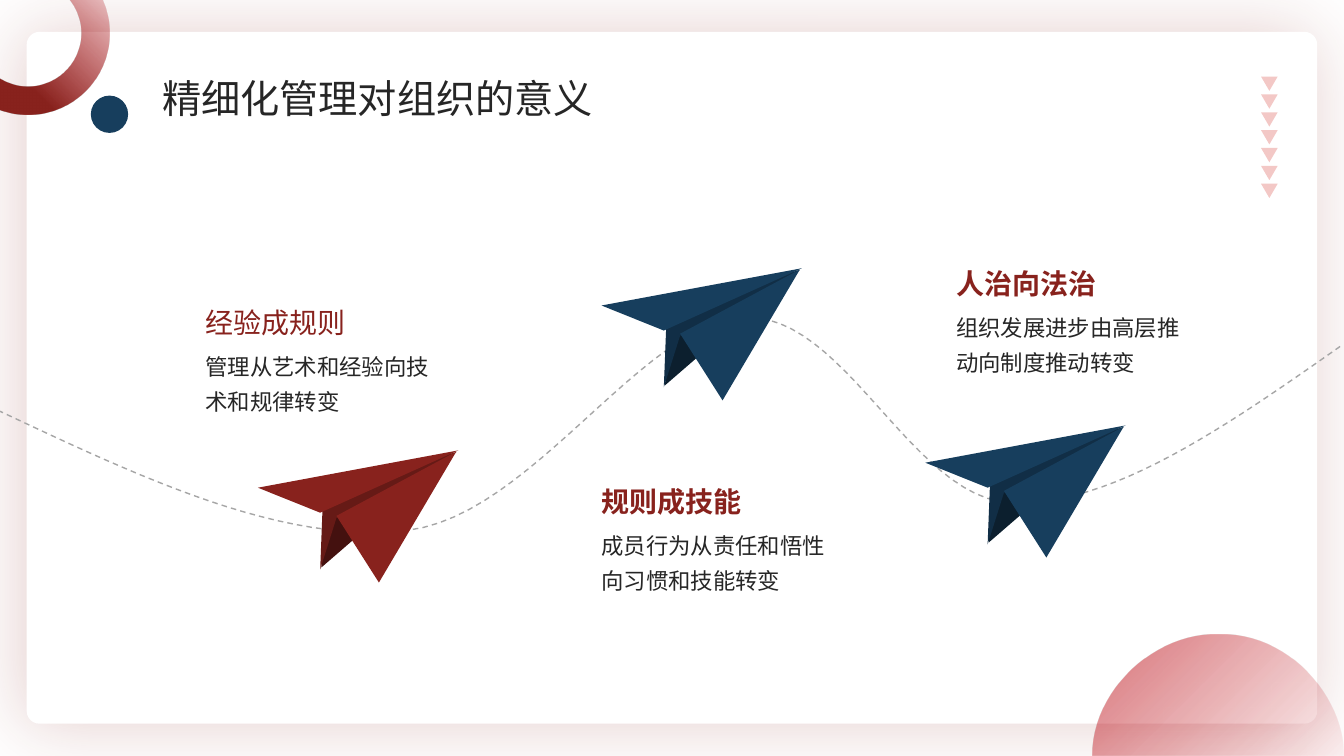
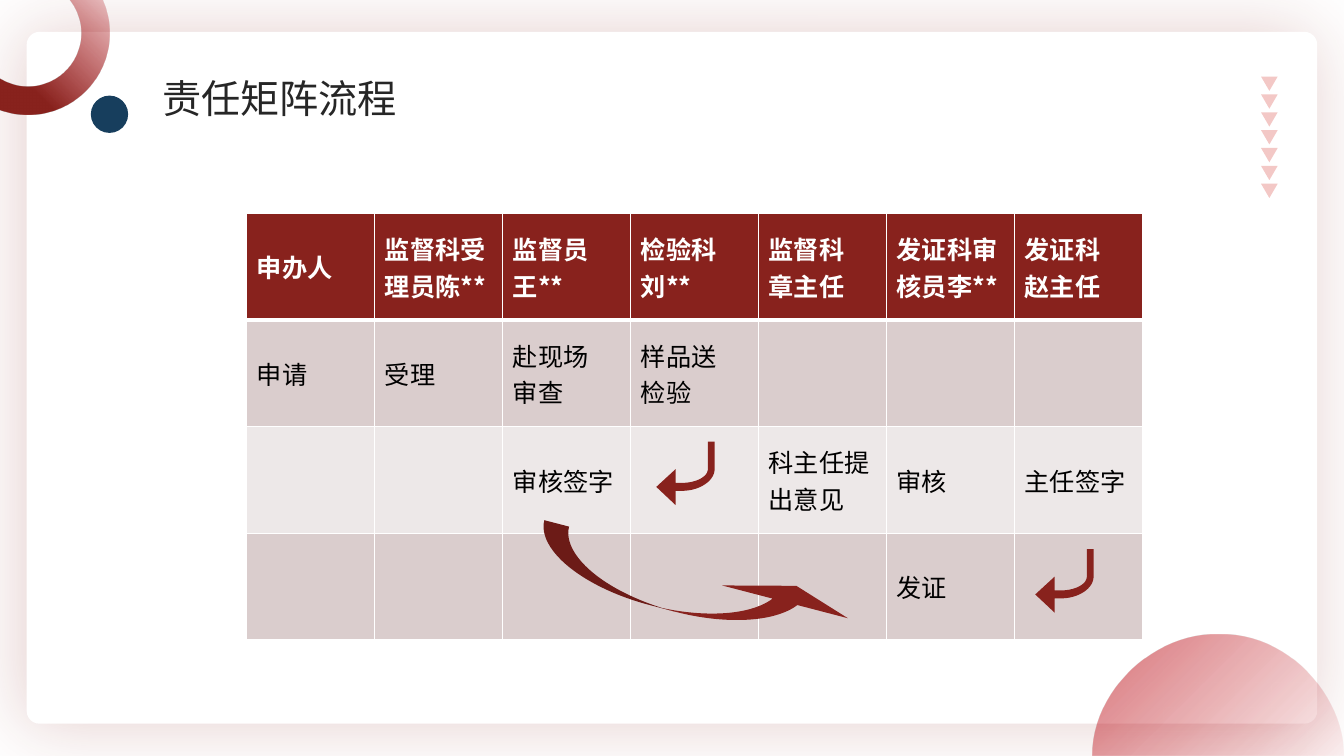
from lxml import etree
from pptx import Presentation
from pptx.dml.color import RGBColor
from pptx.enum.dml import MSO_LINE
from pptx.enum.shapes import MSO_SHAPE
from pptx.enum.text import MSO_ANCHOR
from pptx.oxml.ns import qn
from pptx.util import Cm, Pt

PANEL = MSO_SHAPE.ROUNDED_RECTANGLE
RING = MSO_SHAPE.DONUT
OVAL = MSO_SHAPE.OVAL
TRIANGLE = MSO_SHAPE.FLOWCHART_MERGE
CURVED_ARROW = MSO_SHAPE.CURVED_UP_ARROW
DASH = MSO_LINE.DASH
MIDDLE = MSO_ANCHOR.MIDDLE

FONT = "Noto Sans CJK SC"
RED, NAVY, CRIMSON = "88221D", "173E5D", "B9000B"
WHITE, BLACK, INK, GREY, PINK = "FFFFFF", "000000", "262626", "A6A6A6", "F3C8C6"
BANDS = ["DACDCD", "EDE8E8"]
RED_PLANE = ["44110F", "661A16", RED, RED]
NAVY_PLANE = ["0C1F2E", "112E46", NAVY, NAVY]

PLANE_PARTS = [
    [(1.7, 1.57), (1.6, 2.95), (4.95, 0.05)],
    [(1.63, 1.47), (1.57, 3), (1.98, 1.7), (5, 0.05), (3.86, 0.3)],
    [(0, 0.94), (1.57, 1.57), (5.05, 0)],
    [(1.98, 1.65), (5, 0.03), (3.05, 3.33)],
]
RETURN_ARROW = [
    (0, 1.14), (0.49, 1.6), (0.49, 1.24), (0.64, 1.24),
    (1.09, 1.24, 1.47, 0.99, 1.47, 0.69), (1.47, 0), (1.3, 0), (1.3, 0.69),
    (1.3, 0.89, 0.99, 1.04, 0.64, 1.04), (0.49, 1.04), (0.49, 0.69),
]
DOME = [
    (27.53, 19.05), (27.53, 17.35, 29.13, 15.93, 30.71, 15.98),
    (32.46, 15.93, 33.86, 17.53, 33.86, 19.05),
]
FLIGHT_PATH = [
    (-0.05, 10.34), (3.56, 12.04, 7.14, 13.74, 10.29, 13.36),
    (13.41, 12.98, 16.21, 8.1, 18.75, 8),
    (21.29, 7.87, 22.96, 12.55, 25.48, 12.67),
    (27.99, 12.78, 30.91, 10.74, 33.83, 8.69),
]


def rgb(color):
    return RGBColor.from_string(color)


def node(parent, tag, **attrs):
    return etree.SubElement(parent, qn(tag), {k: str(v) for k, v in attrs.items()})


def color_node(parent, color, alpha=100):
    clr = node(parent, "a:srgbClr", val=color)
    if alpha < 100:
        node(clr, "a:alpha", val=alpha * 1000)


def flatten(steps, pieces=24):
    points = [steps[0]]
    for step in steps[1:]:
        if len(step) == 2:
            points.append(step)
            continue
        x0, y0 = points[-1]
        x1, y1, x2, y2, x3, y3 = step
        for i in range(1, pieces + 1):
            t = i / pieces
            a, b, c, d = (1 - t) ** 3, 3 * t * (1 - t) ** 2, 3 * t * t * (1 - t), t ** 3
            points.append((a * x0 + b * x1 + c * x2 + d * x3,
                           a * y0 + b * y1 + c * y2 + d * y3))
    return points


class Deck:
    def __init__(self):
        self.prs = Presentation()
        self.prs.slide_width, self.prs.slide_height = Cm(33.87), Cm(19.05)

    def new_slide(self, title):
        self.slide = self.prs.slides.add_slide(self.prs.slide_layouts[6])
        self.shapes = self.slide.shapes
        self.decorate()
        self.text(3.84, 1.75, 15.8, 1.45, title, 28, INK)

    def decorate(self):
        sp = self.shape(PANEL, 0.7, 0.83, 32.47, 17.38, WHITE, [0.017])
        sp.line.color.rgb = rgb(WHITE)
        sp.line.width = Pt(1.5)
        effects = sp._element.spPr.find(qn("a:effectLst"))
        shadow = node(effects, "a:outerShdw", blurRad=Pt(54), dist=Pt(3),
                      dir=180 * 60000, algn="ctr", rotWithShape=0)
        color_node(shadow, RED, 22)
        ring = self.shape(RING, -1.35, -1.22, 4.1, 4.1, RED, [0.175])
        self.gradient(ring, 315, [(34, RED, 100), (100, CRIMSON, 0)])
        self.shape(OVAL, 2.29, 2.41, 0.94, 0.94, NAVY)
        self.gradient(self.outline(DOME, CRIMSON), 45,
                      [(2, CRIMSON, 54), (100, CRIMSON, 5)])
        for i in range(7):
            self.shape(TRIANGLE, 31.78, 1.93 + i * 0.45, 0.42, 0.36, PINK)

    def paint(self, sp, color):
        sp.shadow.inherit = False
        sp.line.fill.background()
        sp.fill.solid()
        sp.fill.fore_color.rgb = rgb(color)
        return sp

    def shape(self, kind, x, y, w, h, color, adjustments=()):
        sp = self.shapes.add_shape(kind, Cm(x), Cm(y), Cm(w), Cm(h))
        for i, value in enumerate(adjustments):
            sp.adjustments[i] = value
        return self.paint(sp, color)

    def outline(self, steps, color, x=0, y=0, close=True):
        points = [(Cm(x + px), Cm(y + py)) for px, py in flatten(steps)]
        builder = self.shapes.build_freeform(*points[0])
        builder.add_line_segments(points[1:], close=close)
        return self.paint(builder.convert_to_shape(), color)

    def dashed_curve(self, steps, color):
        sp = self.outline(steps, color, close=False)
        sp.fill.background()
        sp.line.color.rgb = rgb(color)
        sp.line.width = Pt(1)
        sp.line.dash_style = DASH

    def gradient(self, sp, angle, stops):
        solid = sp._element.spPr.find(qn("a:solidFill"))
        grad = etree.Element(qn("a:gradFill"), rotWithShape="1")
        gs_list = node(grad, "a:gsLst")
        for pos, color, alpha in stops:
            color_node(node(gs_list, "a:gs", pos=pos * 1000), color, alpha)
        node(grad, "a:lin", ang=angle * 60000, scaled=0)
        solid.getparent().replace(solid, grad)

    def run(self, p, text, size, color, bold=False):
        r = p.add_run()
        r.text = text
        r.font.size, r.font.bold, r.font.name = Pt(size), bold, FONT
        r.font.color.rgb = rgb(color)
        node(r._r.get_or_add_rPr(), "a:ea", typeface=FONT)

    def text(self, x, y, w, h, text, size, color, bold=False, spacing=1.0):
        tf = self.shapes.add_textbox(Cm(x), Cm(y), Cm(w), Cm(h)).text_frame
        tf.word_wrap = True
        p = tf.paragraphs[0]
        p.line_spacing = spacing
        self.run(p, text, size, color, bold)

    def point(self, x, y, heading, body, bold):
        self.text(x, y + 1, 6.43, 2.03, body, 16, INK, spacing=1.3)
        self.text(x, y, 4.17, 1.12, heading, 20, RED, bold)

    def plane(self, x, y, colors):
        for part, color in zip(PLANE_PARTS, colors):
            self.outline(part, color, x, y)

    def border(self, cell, widths):
        tc_pr = cell._tc.get_or_add_tcPr()
        for side, width in zip("LRTB", widths):
            ln = node(tc_pr, "a:ln" + side, w=Pt(width))
            color_node(node(ln, "a:solidFill"), WHITE)

    def table(self, x, y, w, h, rows):
        n_cols = len(rows[0])
        table = self.shapes.add_table(len(rows), n_cols, Cm(x), Cm(y), Cm(w), Cm(h)).table
        for col in table.columns:
            col.width = Cm(w / n_cols)
        for i, row in enumerate(rows):
            table.rows[i].height = Cm(h / len(rows))
            header = i == 0
            for j, text in enumerate(row):
                cell = table.cell(i, j)
                self.border(cell, (1, 1, 3 if i == 1 else 1, 3 if header else 1))
                cell.fill.solid()
                cell.fill.fore_color.rgb = rgb(RED if header else BANDS[(i - 1) % 2])
                cell.vertical_anchor = MIDDLE
                tf = cell.text_frame
                for k, line in enumerate(text.split("\n") if text else []):
                    p = tf.add_paragraph() if k else tf.paragraphs[0]
                    self.run(p, line, 18, WHITE if header else BLACK, header)


def main():
    deck = Deck()

    deck.new_slide("精细化管理对组织的意义")
    for point in [
        (4.93, 7.57, "经验成规则", "管理从艺术和经验向技术和规律转变", False),
        (14.91, 12.09, "规则成技能", "成员行为从责任和悟性向习惯和技能转变", True),
        (23.85, 6.6, "人治向法治", "组织发展进步由高层推动向制度推动转变", True),
    ]:
        deck.point(*point)
    deck.dashed_curve(FLIGHT_PATH, GREY)
    deck.plane(6.5, 11.35, RED_PLANE)
    deck.plane(15.16, 6.76, NAVY_PLANE)
    deck.plane(23.32, 10.72, NAVY_PLANE)

    deck.new_slide("责任矩阵流程")
    deck.table(6.22, 5.38, 22.58, 10.75, [
        ["申办人", "监督科受理员陈**", "监督员\n王**", "检验科\n刘**",
         "监督科\n章主任", "发证科审核员李**", "发证科\n赵主任"],
        ["申请", "受理", "赴现场\n审查", "样品送\n检验", "", "", ""],
        ["", "", "审核签字", "", "科主任提出意见", "审核", "主任签字"],
        ["", "", "", "", "", "发证", ""],
    ])
    sp = deck.shape(CURVED_ARROW, 13.41, 14.12, 8.2, 1.4, RED, [0.46, 2.34, 0.33])
    sp.rotation = 14.6
    for x, y in [(16.54, 11.13), (26.09, 13.84)]:
        deck.outline(RETURN_ARROW, RED, x, y)

    deck.prs.save("out.pptx")


if __name__ == "__main__":
    main()
